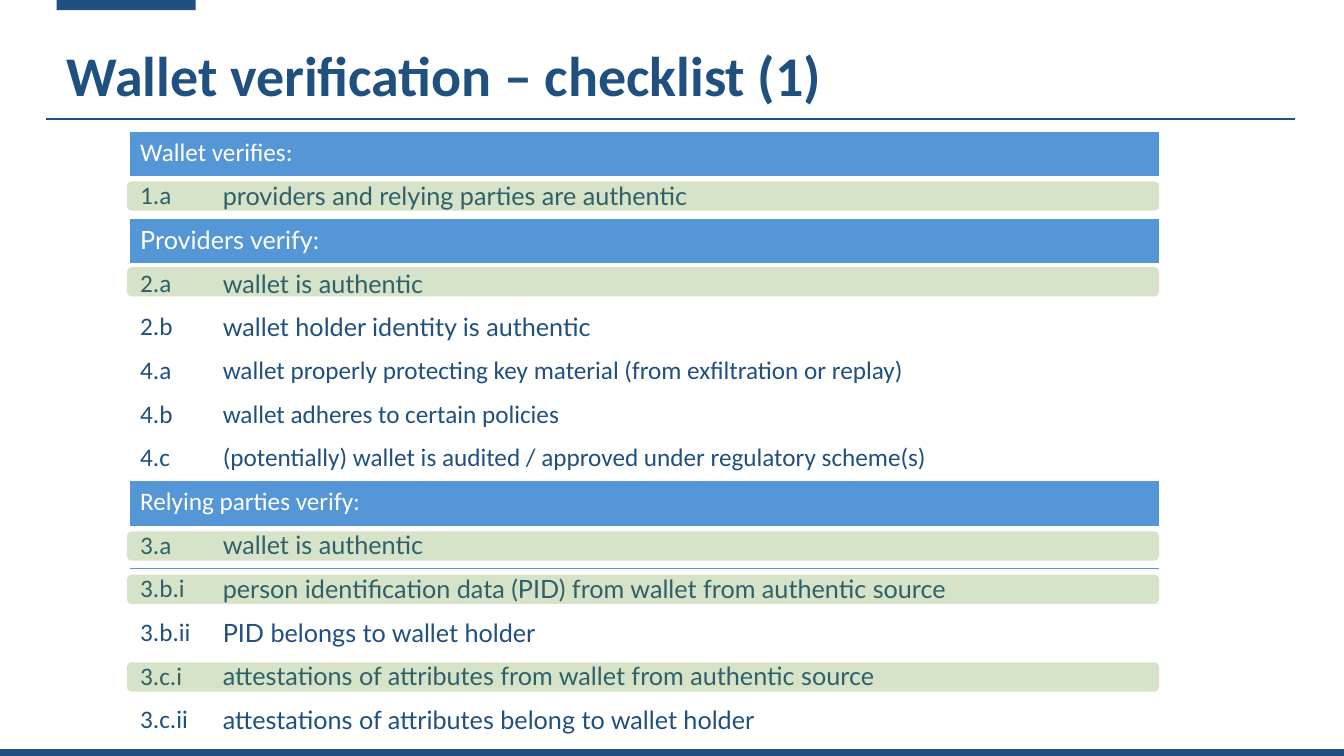
from lxml import etree
from pptx import Presentation
from pptx.dml.color import RGBColor
from pptx.enum.shapes import MSO_CONNECTOR, MSO_SHAPE
from pptx.enum.text import MSO_ANCHOR
from pptx.oxml import parse_xml
from pptx.oxml.ns import qn
from pptx.util import Cm, Pt

STRAIGHT = MSO_CONNECTOR.STRAIGHT
RECTANGLE = MSO_SHAPE.RECTANGLE
ROUNDED = MSO_SHAPE.ROUNDED_RECTANGLE
MIDDLE = MSO_ANCHOR.MIDDLE

NAVY = RGBColor(0x1F, 0x50, 0x80)
BLUE = RGBColor(0x55, 0x96, 0xD6)
GREEN = RGBColor(0x60, 0x93, 0x28)
WHITE = RGBColor(0xFF, 0xFF, 0xFF)

DRAWING_NS = "http://schemas.openxmlformats.org/drawingml/2006/main"
PLAIN_TABLE_STYLE = "{2D5ABB26-0587-4C30-8999-92F81FD0307C}"
ROW_HEIGHT = 1.1
COLUMN_WIDTHS = [2.08, 21.92, 1.93]

CHECKLIST = [
    ("Wallet verifies:", None, "Calibri"),
    ("1.a", "providers and relying parties are authentic", "Lato"),
    ("Providers verify:", None, "Lato"),
    ("2.a", "wallet is authentic", "Lato"),
    ("2.b", "wallet holder identity is authentic", "Lato"),
    ("4.a", "wallet properly protecting key material (from exfiltration or replay)", "Calibri"),
    ("4.b", "wallet adheres to certain policies", "Calibri"),
    ("4.c", "(potentially) wallet is audited / approved under regulatory scheme(s)", "Calibri"),
    ("Relying parties verify:", None, "Calibri"),
    ("3.a", "wallet is authentic", "Lato"),
    ("3.b.i", "person identification data (PID) from wallet from authentic source", "Lato"),
    ("3.b.ii", "PID belongs to wallet holder", "Lato"),
    ("3.c.i", "attestations of attributes from wallet from authentic source", "Lato"),
    ("3.c.ii", "attestations of attributes belong to wallet holder", "Lato"),
]
HIGHLIGHT_TOPS = [4.57, 6.73, 13.39, 14.48, 16.69]


def add_rule(left, right, top, width):
    rule = page.shapes.add_connector(STRAIGHT, Cm(left), Cm(top), Cm(right), Cm(top))
    rule.line.color.rgb = NAVY
    rule.line.width = Pt(width)
    etree.SubElement(rule._element.spPr, qn("a:effectLst"))


def write_cell(cell, text, font_name, color):
    para = cell.text_frame.paragraphs[0]
    para.text = text
    para.font.name = font_name
    para.font.size = Pt(18)
    para.font.color.rgb = color


deck = Presentation()
deck.slide_width = Cm(33.87)
deck.slide_height = Cm(19.05)
page = deck.slides.add_slide(deck.slide_layouts[6])
page.background.fill.solid()
page.background.fill.fore_color.rgb = WHITE

add_rule(0, 33.87, 18.97, 5.75)
tab = page.shapes.add_shape(RECTANGLE, Cm(1.43), Cm(-0.05), Cm(3.5), Cm(0.31))
tab.shadow.inherit = False
tab.fill.solid()
tab.fill.fore_color.rgb = NAVY
tab.line.fill.background()

table = page.shapes.add_table(
    len(CHECKLIST), len(COLUMN_WIDTHS), Cm(3.28), Cm(3.33),
    Cm(sum(COLUMN_WIDTHS)), Cm(ROW_HEIGHT * len(CHECKLIST)),
).table
table._tbl.tblPr.find(qn("a:tableStyleId")).text = PLAIN_TABLE_STYLE
table.first_row = False
table.horz_banding = False
for column, width in zip(table.columns, COLUMN_WIDTHS):
    column.width = Cm(width)

for row, (label, check, font_name) in enumerate(CHECKLIST):
    table.rows[row].height = Cm(ROW_HEIGHT)
    is_header = check is None
    for cell in table.rows[row].cells:
        cell.fill.solid()
        cell.fill.fore_color.rgb = BLUE if is_header else WHITE
    if is_header:
        table.cell(row, 0).merge(table.cell(row, 2))
        write_cell(table.cell(row, 0), label, font_name, WHITE)
    else:
        write_cell(table.cell(row, 0), label, "Calibri", NAVY)
        write_cell(table.cell(row, 1), check, font_name, NAVY)

BORDERS = [(row, column, BLUE, 0.5) for row in (1, 9) for column in range(3)]
BORDERS.append((3, 1, WHITE, 1))
for row, column, color, width in BORDERS:
    border = parse_xml(
        f'<a:lnT xmlns:a="{DRAWING_NS}" w="{Pt(width)}"><a:solidFill>'
        f'<a:srgbClr val="{color}"/></a:solidFill></a:lnT>'
    )
    table.cell(row, column)._tc.get_or_add_tcPr().insert(0, border)

for top in HIGHLIGHT_TOPS:
    highlight = page.shapes.add_shape(ROUNDED, Cm(3.2), Cm(top), Cm(26.01), Cm(0.74))
    highlight.shadow.inherit = False
    highlight.fill.solid()
    highlight.fill.fore_color.rgb = GREEN
    highlight.line.fill.background()
    tint = highlight._element.spPr.find(qn("a:solidFill"))[0]
    etree.SubElement(tint, qn("a:alpha"), val="25000")

title = page.shapes.add_textbox(Cm(1.43), Cm(0.97), Cm(25.88), Cm(2.03)).text_frame
title.word_wrap = True
title.vertical_anchor = MIDDLE
para = title.paragraphs[0]
para.text = "Wallet verification – checklist (1)"
para.line_spacing = 0.9
para.font.name = "Calibri"
para.font.size = Pt(40)
para.font.bold = True
para.font.color.rgb = NAVY

add_rule(1.17, 32.64, 3, 2)

deck.save("out.pptx")
